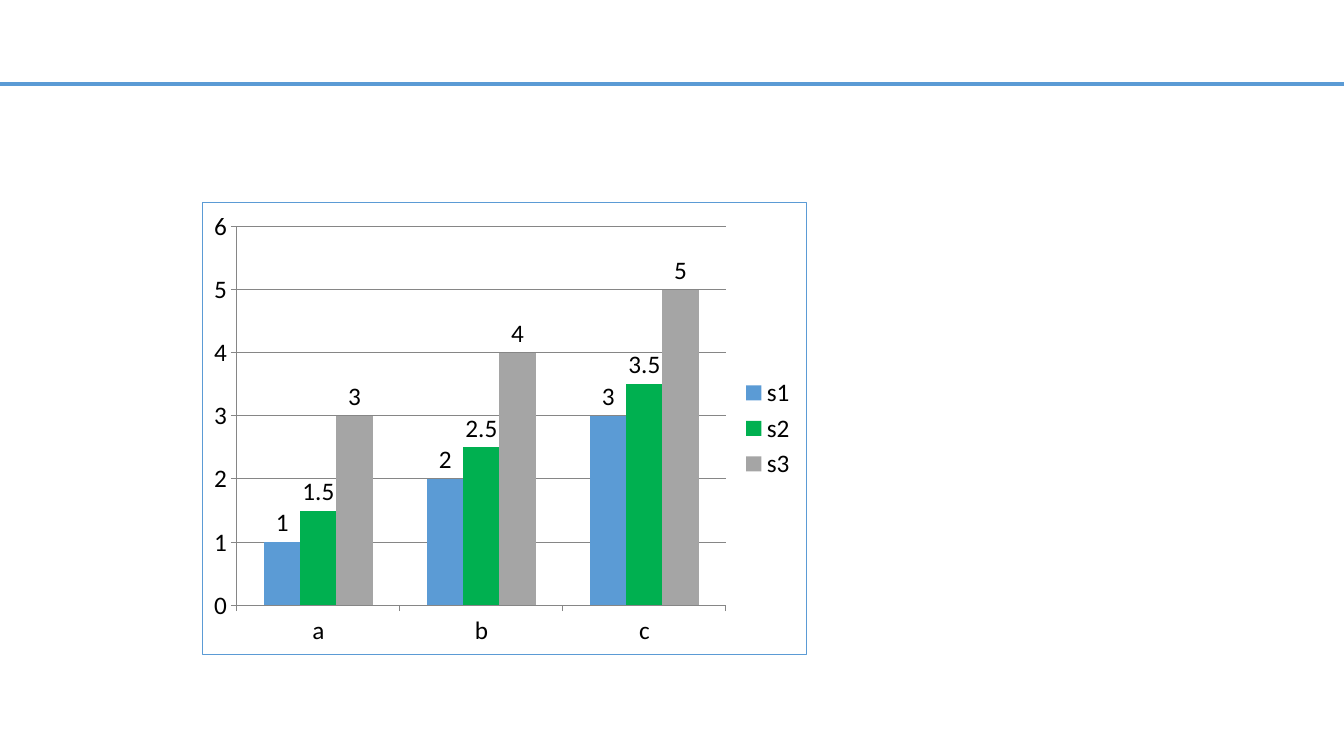
from lxml import etree
from pptx import Presentation, util as u
from pptx.chart.data import CategoryChartData
from pptx.dml.color import RGBColor
from pptx.enum import chart as ch, shapes
from pptx.oxml import parse_xml
from pptx.oxml.ns import nsdecls, qn

BLUE, GREEN, GRAY, GRID = "5B9BD5", "00B050", "A5A5A5", "868686"
CATEGORIES = ["a", "b", "c"]
SERIES = [
    ("s1", [1, 2, 3], BLUE),
    ("s2", [1.5, 2.5, 3.5], GREEN),
    ("s3", [3, 4, 5], GRAY),
]


def rgb(color):
    """Turn a hex string into a colour."""
    return RGBColor.from_string(color)


def set_font(font, size=18, color="000000", name="Calibri", bold=False):
    """Format the text of a chart part."""
    font.size, font.name, font.bold = u.Pt(size), name, bold
    font.color.rgb = rgb(color)


def set_line(line, color, width=0.75):
    """Set the colour and width in points of a line."""
    line.color.rgb = rgb(color)
    line.width = u.Pt(width)


def add_rule(s, x, y, w):
    """Draw the header rule across the given width."""
    rule = s.shapes.add_connector(shapes.MSO_CONNECTOR.STRAIGHT, x, y, x + w, y)
    set_line(rule.line, BLUE, 3)
    etree.SubElement(rule._element.spPr, qn("a:effectLst"))


def add_border(chart, color, width=0.75):
    """Outline the chart area, leaving it unfilled."""
    border = parse_xml(
        f'<c:spPr {nsdecls("c", "a")}><a:noFill/><a:ln w="{u.Pt(width)}">'
        f'<a:solidFill><a:srgbClr val="{color}"/></a:solidFill></a:ln></c:spPr>')
    chart._chartSpace.find(qn("c:chart")).addnext(border)


def add_columns(s, x, y, w, h):
    """Place the clustered column chart in the given box."""
    data = CategoryChartData()
    data.categories = CATEGORIES
    for name, values, _ in SERIES:
        data.add_series(name, values)
    chart = s.shapes.add_chart(
        ch.XL_CHART_TYPE.COLUMN_CLUSTERED, x, y, w, h, data).chart
    set_font(chart.font)
    add_border(chart, BLUE)
    chart.has_title = False
    chart.has_legend = True
    chart.legend.position = ch.XL_LEGEND_POSITION.RIGHT
    chart.legend.include_in_layout = False

    plot = chart.plots[0]
    plot.gap_width, plot.vary_by_categories = 150, False
    for series, (_, _, color) in zip(plot.series, SERIES):
        series.format.fill.solid()
        series.format.fill.fore_color.rgb = rgb(color)
        series.data_labels.show_value = True
        series.data_labels.position = ch.XL_LABEL_POSITION.OUTSIDE_END

    for axis in (chart.category_axis, chart.value_axis):
        axis.major_tick_mark = ch.XL_TICK_MARK.OUTSIDE
        axis.minor_tick_mark = ch.XL_TICK_MARK.NONE
        set_line(axis.format.line, GRID)
    chart.value_axis.has_major_gridlines = True
    set_line(chart.value_axis.major_gridlines.format.line, GRID)


def main():
    """Build the slide and save it."""
    prs = Presentation()
    prs.slide_width, prs.slide_height = u.Inches(13.33), u.Inches(7.5)
    s = prs.slides.add_slide(prs.slide_layouts[6])
    add_rule(s, 0, prs.slide_height // 9, prs.slide_width)
    add_columns(s, *map(u.Inches, (2, 2, 6, 4.5)))
    prs.save("out.pptx")


if __name__ == "__main__":
    main()
